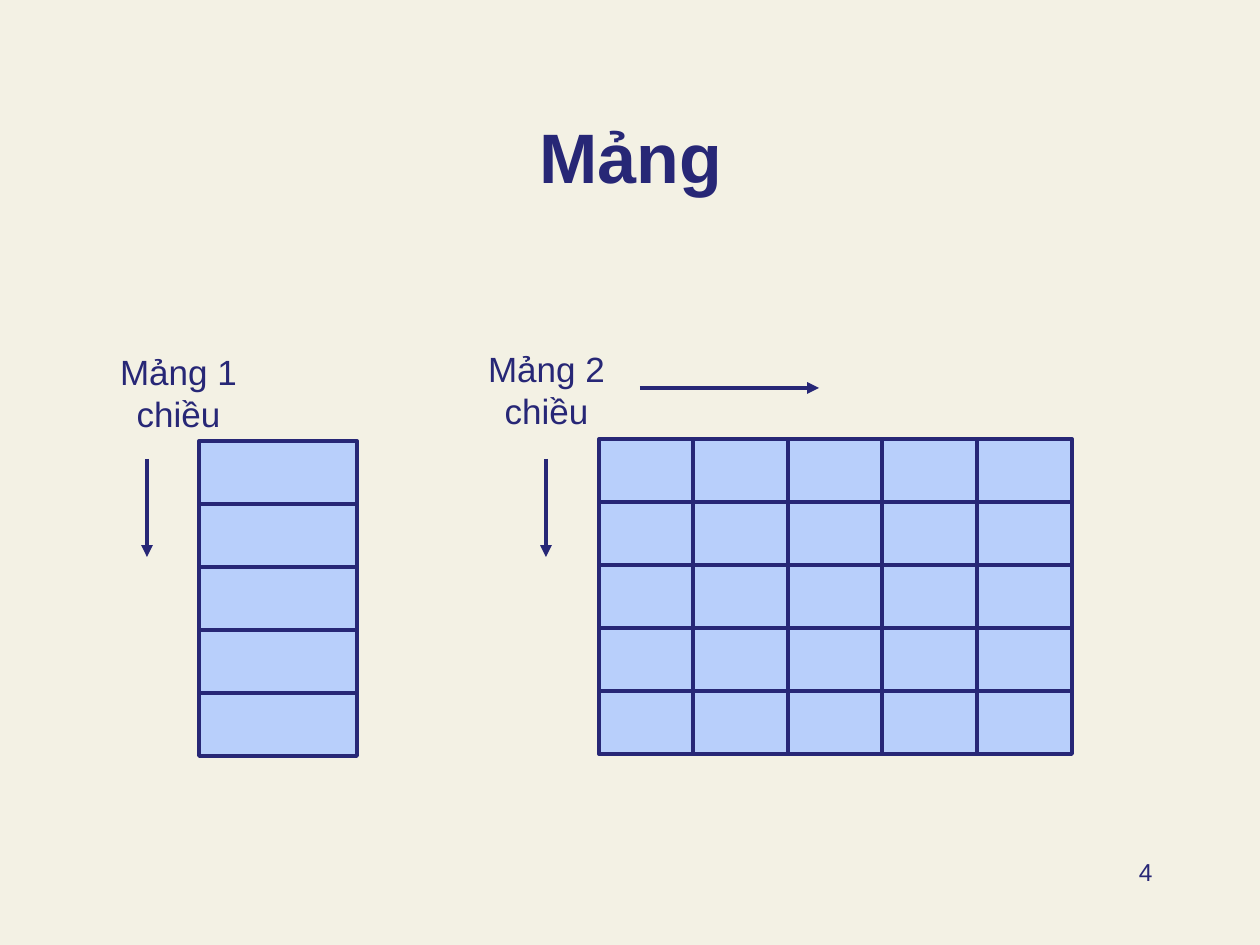
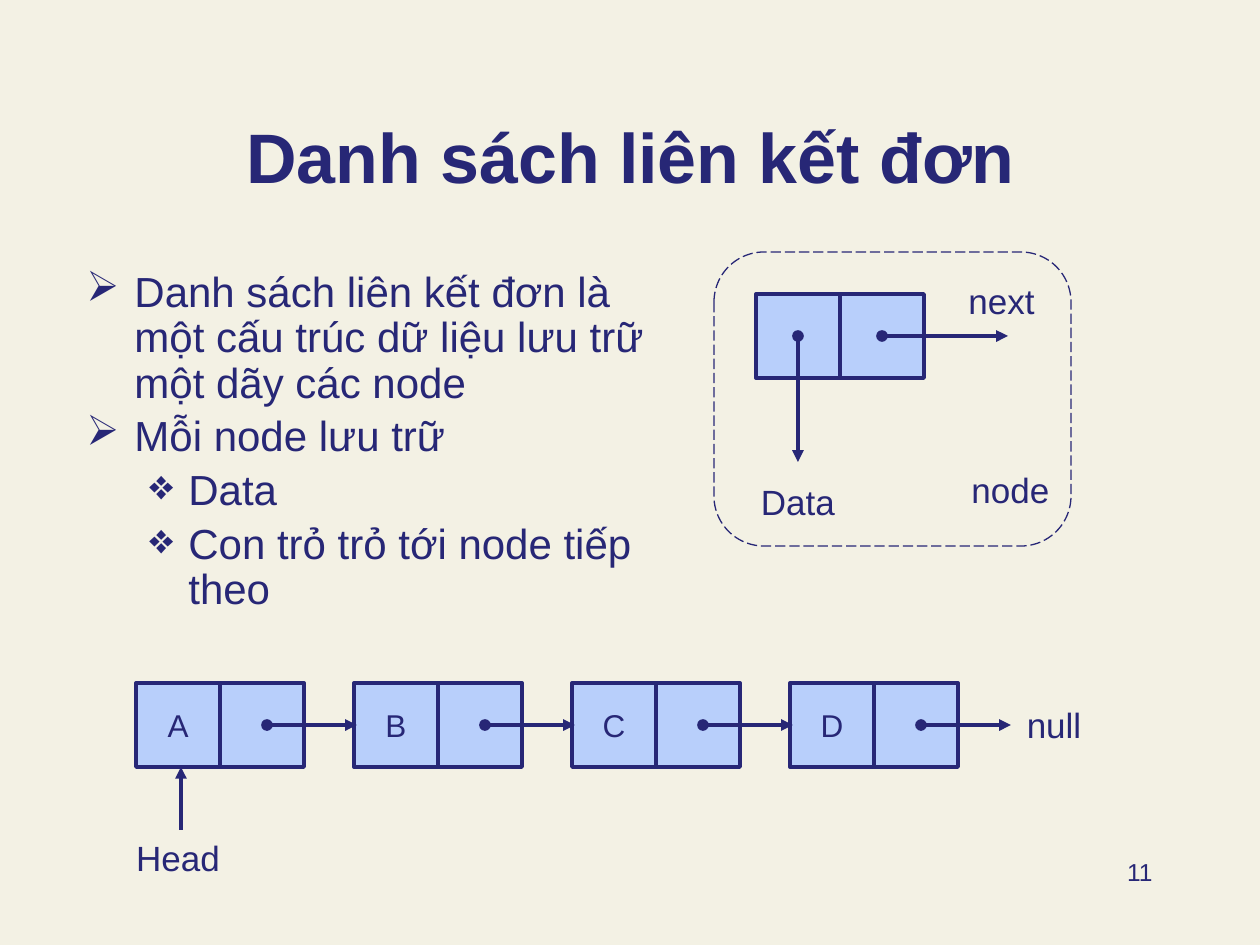
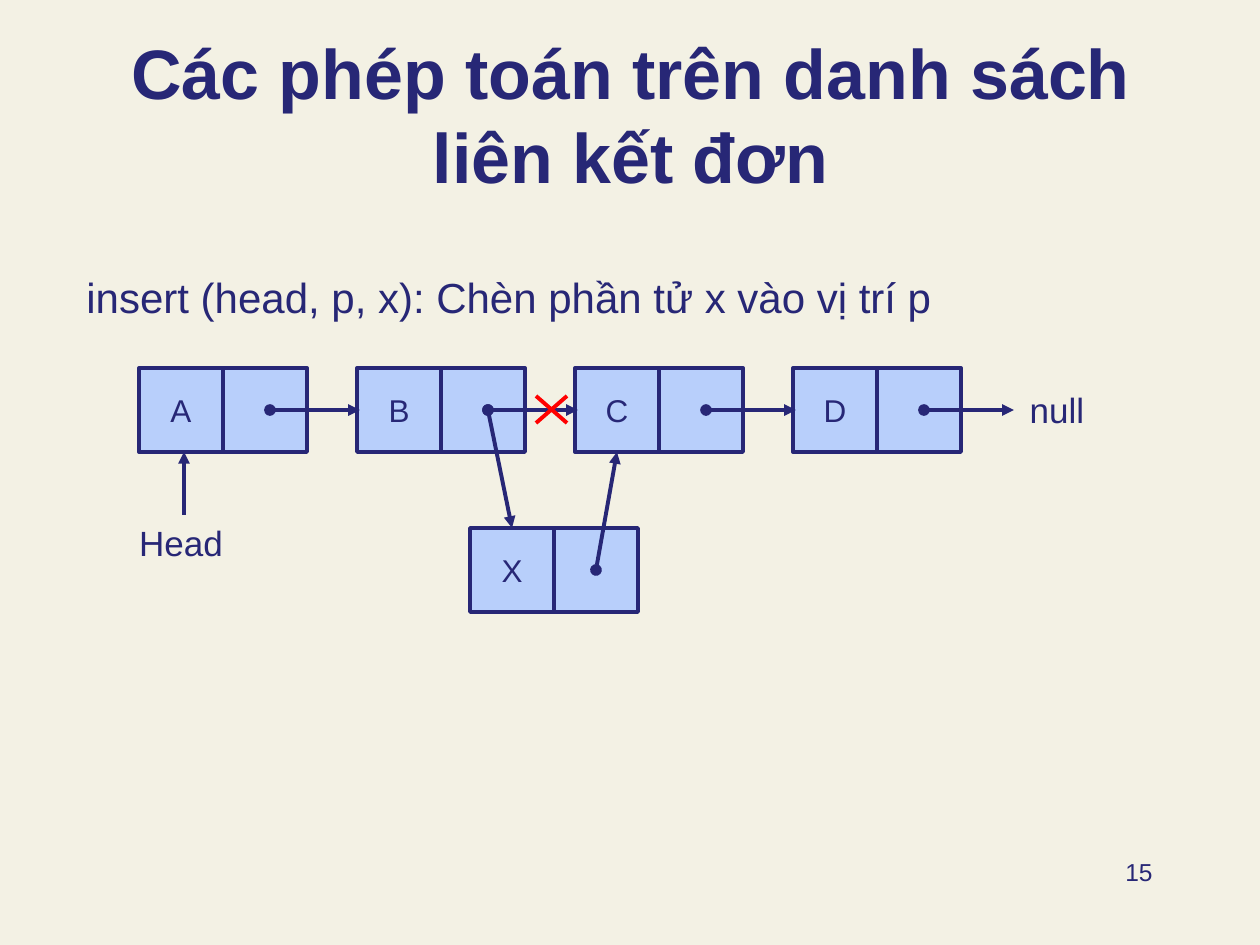
from lxml.etree import SubElement
from pptx import Presentation
from pptx.dml.color import RGBColor
from pptx.enum.dml import MSO_LINE_DASH_STYLE as DASH
from pptx.enum.shapes import MSO_CONNECTOR as CONNECTOR, MSO_SHAPE as SHAPE
from pptx.enum.text import MSO_ANCHOR as ANCHOR, PP_ALIGN as ALIGN
from pptx.oxml.ns import qn
from pptx.util import Emu, Pt

PX = 914400 / 126
FONT = "Arial"
COLORS = {"background": "F3F1E4", "ink": "272776", "cell": "B8CFFB", "cross": "FF0000"}
INK = RGBColor.from_string(COLORS["ink"])
CELL = 84  # side of one half of a node


def add_box(slide, text, x, y, w, h, size=20, align=ALIGN.CENTER,
            anchor=ANCHOR.TOP, bold=False, filled=False):
    """Add a label, or a filled cell; each line of text is a paragraph."""
    place = [Emu(round(n * PX)) for n in (x, y, w, h)]
    if filled:
        box = slide.shapes.add_shape(SHAPE.RECTANGLE, *place)
        box.shadow.inherit = False
        box.fill.solid()
        box.fill.fore_color.rgb = RGBColor.from_string(COLORS["cell"])
        box.line.color.rgb = INK
        box.line.width = Pt(2.25)
        size, anchor = 18, ANCHOR.MIDDLE
    else:
        box = slide.shapes.add_textbox(*place)
    frame = box.text_frame
    frame.word_wrap = True
    frame.vertical_anchor = anchor
    frame.text = text
    for paragraph in frame.paragraphs:
        paragraph.alignment = align
        for run in paragraph.runs:
            run.font.name = FONT
            run.font.size = Pt(size)
            run.font.bold = bold
            run.font.color.rgb = INK
    return box


def add_line(slide, x1, y1, x2, y2, head=None, tail="triangle", color="ink"):
    """Add a straight line with optional ends at its start and finish."""
    ends = [Emu(round(n * PX)) for n in (x1, y1, x2, y2)]
    line = slide.shapes.add_connector(CONNECTOR.STRAIGHT, *ends)
    line.line.color.rgb = RGBColor.from_string(COLORS[color])
    line.line.width = Pt(2.25)
    outline = line.line._get_or_add_ln()
    for tag, end in (("a:headEnd", head), ("a:tailEnd", tail)):
        if end:
            SubElement(outline, qn(tag), type=end)
    SubElement(line._element.spPr, qn("a:effectLst"))


prs = Presentation()
prs.slide_width, prs.slide_height = Emu(round(1260 * PX)), Emu(round(945 * PX))

# Background, title and page number of every slide
slides = []
for title, page in (
    ("Mảng", "4"),
    ("Danh sách liên kết đơn", "11"),
    ("Các phép toán trên danh sách liên kết đơn", "15"),
):
    slide = prs.slides.add_slide(prs.slide_layouts[6])
    slide.background.fill.solid()
    slide.background.fill.fore_color.rgb = RGBColor.from_string(COLORS["background"])
    add_box(slide, title, 95, 68, 1071, 136, size=40, anchor=ANCHOR.BOTTOM, bold=True)
    add_box(slide, page, 903, 851, 262, 63, size=14, align=ALIGN.RIGHT)
    slides.append(slide)
arrays, linked_list, insertion = slides

# Arrays: one column and a 5 x 5 grid
for row in range(5):
    add_box(arrays, "", 199, 441 + row * 63, 158, 63, filled=True)
    for col in range(5):
        add_box(arrays, "", 599 + col * 189 // 2, 439 + row * 63, 95, 63, filled=True)
add_box(arrays, "Mảng 1 chiều", 63, 344, 231, 97)
add_box(arrays, "Mảng 2 chiều", 431, 341, 231, 97)
for x in (147, 546):
    add_line(arrays, x, 459, x, 557)
add_line(arrays, 640, 388, 819, 388)

# Linked list: definition with two levels of bullets
points = (
    (0, "Danh sách liên kết đơn là một cấu trúc dữ liệu lưu trữ một dãy các node"),
    (0, "Mỗi node lưu trữ"),
    (1, "Data"),
    (1, "Con trỏ trỏ tới node tiếp theo"),
)
bullets = (("➢", 48, 48), ("❖", 102, 39))  # symbol, margin, hanging indent
definition = add_box(linked_list, "\n".join(text for _, text in points),
                     74, 265, 597, 355, size=24, align=ALIGN.LEFT)
for index, paragraph in enumerate(definition.text_frame.paragraphs):
    level = points[index][0]
    symbol, margin, hanging = bullets[level]
    paragraph.level = level
    paragraph.line_spacing = 0.9
    paragraph.space_before = Pt(4.8 if index else 0)
    props = paragraph._p.get_or_add_pPr()
    props.set("marL", str(round(margin * PX)))
    props.set("indent", str(round(-hanging * PX)))
    SubElement(SubElement(props, qn("a:buClr")), qn("a:srgbClr"), val=COLORS["ink"])
    SubElement(props, qn("a:buChar"), char=symbol)

# Linked list: parts of one node
frame = linked_list.shapes.add_shape(
    SHAPE.ROUNDED_RECTANGLE, *[Emu(round(n * PX)) for n in (714, 252, 357, 294)])
frame.adjustments[0] = 0.17
frame.shadow.inherit = False
frame.fill.background()
frame.line.color.rgb = INK
frame.line.width = Pt(0.75)
frame.line.dash_style = DASH.LONG_DASH
for x in (756, 756 + CELL):
    add_box(linked_list, "", x, 294, CELL, CELL, filled=True)
add_line(linked_list, 798, 336, 798, 462, head="oval")
add_line(linked_list, 882, 336, 1008, 336, head="oval")
add_box(linked_list, "next", 955, 273, 93, 55)
add_box(linked_list, "Data", 748, 474, 100, 55)
add_box(linked_list, "node", 945, 462, 131, 55)

# Chain of nodes A to D, shared by both list slides
for slide, left, top in ((linked_list, 136, 683), (insertion, 139, 368)):
    for index, name in enumerate("ABCD"):
        x = left + index * 218
        add_box(slide, name, x, top, CELL, CELL, filled=True)
        add_box(slide, "", x + CELL, top, CELL, CELL, filled=True)
    for index in range(4):
        x = left + index * 218 + 131
        add_line(slide, x, top + 42, x + 90, top + 42, head="oval")
    add_box(slide, "null", left + 877, top + 14, 82, 97)
    add_box(slide, "Head", left - 13, top + 147, 110, 55)
    add_line(slide, left + 45, top + 147, left + 45, top + CELL)

# Insertion: new node X, the cut link and the two new links
add_box(insertion, "insert (head, p, x): Chèn phần tử x vào vị trí p",
        74, 265, 1091, 113, size=24, align=ALIGN.LEFT)
add_box(insertion, "X", 470, 528, CELL, CELL, filled=True)
add_box(insertion, "", 470 + CELL, 528, CELL, CELL, filled=True)
for start, end in ((536, 567), (567, 536)):
    add_line(insertion, start, 396, end, 423, tail=None, color="cross")
add_line(insertion, 488, 410, 512, 528, head="oval")
add_line(insertion, 596, 570, 617, 452, head="oval")

prs.save("out.pptx")
